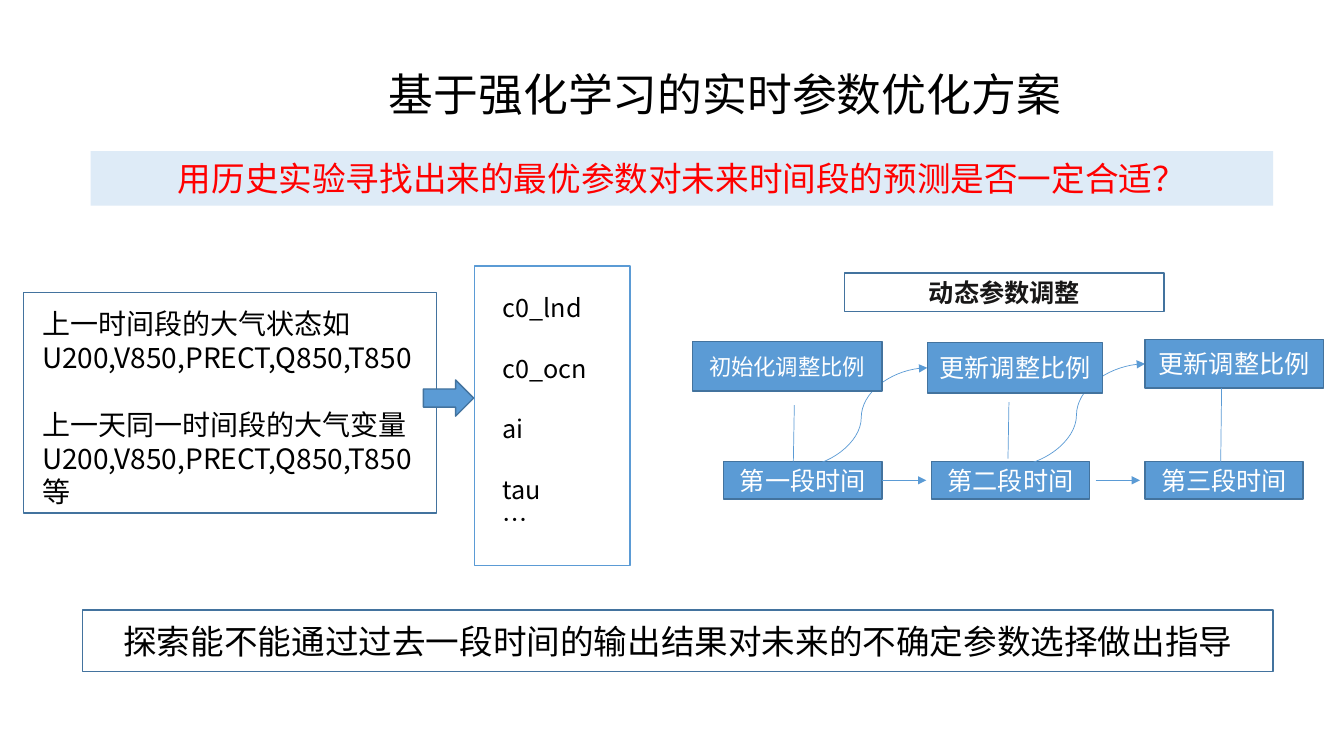
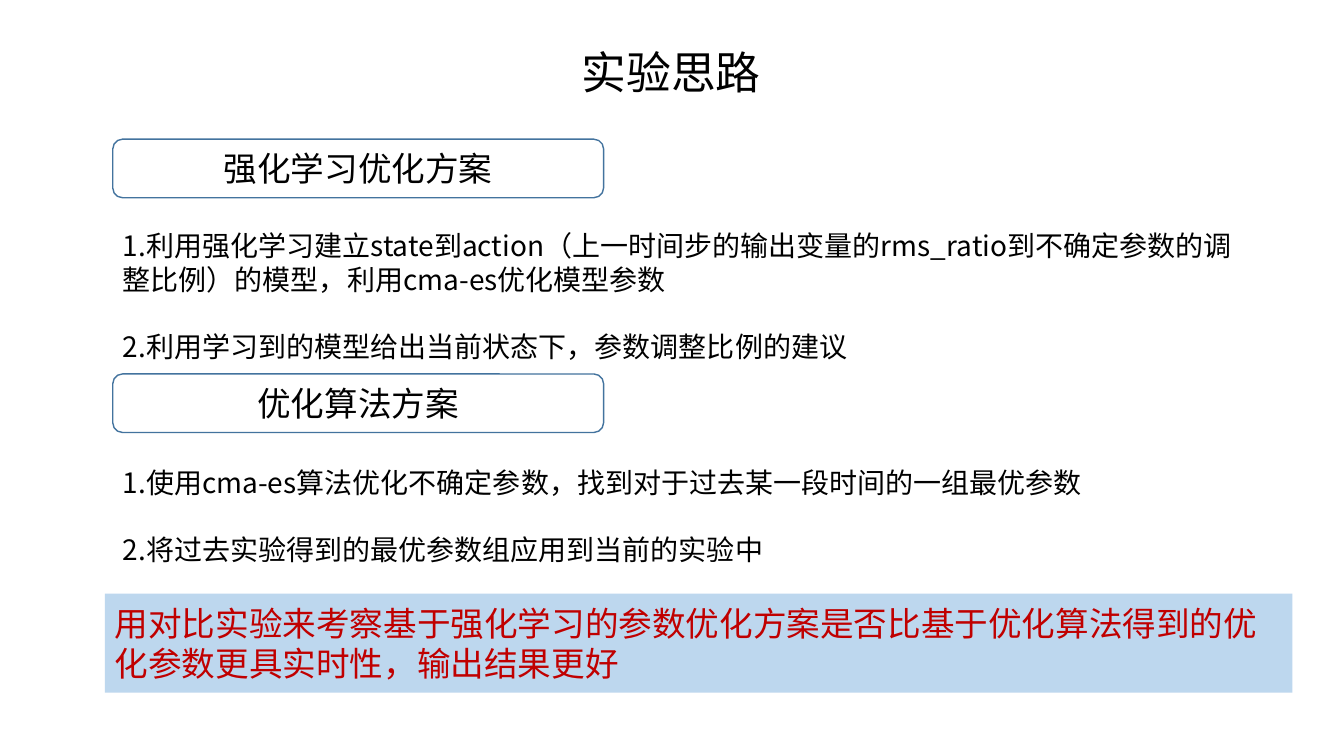
"""Build two slides on tuning parameters in real time with reinforcement learning."""
import pptx
import pptx.util
import pptx.dml.color
import pptx.enum.shapes
import pptx.enum.text
import pptx.oxml
import pptx.oxml.ns
from dataclasses import dataclass

Pt = pptx.util.Pt
Kind = pptx.enum.shapes.MSO_SHAPE
Link = pptx.enum.shapes.MSO_CONNECTOR
Align = pptx.enum.text.PP_ALIGN
Mid = pptx.enum.text.MSO_ANCHOR.MIDDLE
Top = pptx.enum.text.MSO_ANCHOR.TOP


@dataclass(frozen=True)
class Theme:
    font: str = "Noto Sans CJK JP"
    ink: str = "000000"
    dark: str = "181717"
    white: str = "FFFFFF"
    blue: str = "5B9BD5"
    edge: str = "43739E"
    pale: str = "DEEBF7"
    sky: str = "BDD7EE"
    red: str = "FF0000"
    wine: str = "C00000"
    title: int = 32
    lead: int = 24
    body: int = 20
    label: int = 18
    small: int = 16
    rule: float = 1
    thin: float = 0.5
    pitch: float = 1.2


class Deck:
    def __init__(self, theme):
        self.theme = theme
        self.file = pptx.Presentation()
        self.file.slide_width = Pt(960)
        self.file.slide_height = Pt(540)
        self.slide = None

    def rgb(self, color):
        return pptx.dml.color.RGBColor.from_string(color)

    def page(self, title, left, top, width):
        self.slide = self.file.slides.add_slide(self.file.slide_layouts[6])
        frame = self.text(left, top, width, 46, Mid)
        self.put(frame.paragraphs[0], title, self.theme.title, self.theme.ink)
        frame.paragraphs[0].alignment = Align.CENTER

    def put(self, para, words, size, color, bold=False):
        run = para.add_run()
        run.text = words
        font = run.font
        font.size = Pt(size)
        font.name = self.theme.font
        font.bold = bold
        font.color.rgb = self.rgb(color)
        east = pptx.oxml.parse_xml(
            f'<a:ea {pptx.oxml.ns.nsdecls("a")} typeface="{self.theme.font}"/>')
        run._r.rPr.find(pptx.oxml.ns.qn("a:latin")).addnext(east)

    def text(self, left, top, width, height, anchor=Top):
        frame = self.slide.shapes.add_textbox(
            Pt(left), Pt(top), Pt(width), Pt(height)).text_frame
        frame.word_wrap = True
        frame.vertical_anchor = anchor
        return frame

    def lines(self, left, top, width, height, size, items):
        frame = self.text(left, top, width, height)
        step = size * self.theme.pitch
        for index, (words, gap) in enumerate(items):
            para = frame.add_paragraph() if index else frame.paragraphs[0]
            para.line_spacing = Pt(step)
            if gap:
                para.space_before = Pt(step)
            self.put(para, words, size, self.theme.ink)

    def box(self, left, top, width, height, words="", size=Theme.label,
            color=Theme.ink, fill=None, edge=Theme.edge, kind=Kind.RECTANGLE,
            bold=False, align=Align.CENTER):
        shape = self.slide.shapes.add_shape(
            kind, Pt(left), Pt(top), Pt(width), Pt(height))
        shape.shadow.inherit = False
        if fill:
            shape.fill.solid()
            shape.fill.fore_color.rgb = self.rgb(fill)
        else:
            shape.fill.background()
        if edge:
            shape.line.color.rgb = self.rgb(edge)
            shape.line.width = Pt(self.theme.rule)
        else:
            shape.line.fill.background()
        if words:
            frame = shape.text_frame
            frame.word_wrap = True
            frame.vertical_anchor = Mid
            frame.paragraphs[0].alignment = align
            self.put(frame.paragraphs[0], words, size, color, bold)
        return shape

    def link(self, start, end, kind=Link.STRAIGHT, arrow=True):
        line = self.slide.shapes.add_connector(
            kind, Pt(start[0]), Pt(start[1]), Pt(end[0]), Pt(end[1]))
        line.line.color.rgb = self.rgb(self.theme.blue)
        line.line.width = Pt(self.theme.thin)
        names = pptx.oxml.ns.nsdecls("a")
        props = line._element.spPr
        if arrow:
            props.find(pptx.oxml.ns.qn("a:ln")).append(
                pptx.oxml.parse_xml(f'<a:tailEnd {names} type="triangle"/>'))
        props.append(pptx.oxml.parse_xml(f"<a:effectLst {names}/>"))
        return line


def plan(deck):
    look = deck.theme
    deck.page("基于强化学习的实时参数优化方案", 258.5, 44, 519)
    steps = [deck.box(left, 329.8, 113, 26.6, words, look.label, look.white, look.blue)
             for left, words in ((517, "第一段时间"), (665.3, "第二段时间"),
                                 (817.9, "第三段时间"))]
    deck.link((630, 343.1), (661.7, 343.1)).begin_connect(steps[0], 3)
    deck.link((782.6, 343.1), (814.3, 343.1))
    for start, end in (((568, 334), (662.4, 262.8)), ((720, 333.4), (817.9, 259.9))):
        deck.link(start, end, Link.CURVE)
    for left, top, width, height, words, size in (
            (662.4, 244.8, 125.3, 36, "更新调整比例", look.label),
            (494.6, 244.1, 135.4, 35.3, "初始化调整比例", look.small),
            (817.9, 242.6, 127.4, 34.6, "更新调整比例", look.label)):
        deck.box(left, top, width, height, words, size, look.white, look.blue)
    for left, top, foot in ((567.4, 289.4, 329.8), (720.7, 287.3, 327.6),
                            (872.6, 277.2, 334.8)):
        deck.link((left, top), (left - 0.7, foot), arrow=False)

    deck.box(64.8, 108, 844.6, 38.9, "用历史实验寻找出来的最优参数对未来时间段的预测是否一定合适？",
             look.lead, look.red, look.pale, None)
    deck.lines(23, 215.5, 319.7, 152.6, look.body, (
        ("上一时间段的大气状态如U200,V850,PRECT,Q850,T850", False),
        ("上一天同一时间段的大气变量U200,V850,PRECT,Q850,T850", True),
        ("等", False)))
    deck.lines(352, 205.5, 106.6, 181.4, look.label, (
        ("c0_lnd", False), ("c0_ocn", True), ("ai", True), ("tau", True),
        ("…", False)))
    deck.box(59, 435.6, 850.3, 43.9, "探索能不能通过过去一段时间的输出结果对未来的不确定参数选择做出指导",
             look.lead)
    deck.box(16.6, 208.8, 295.2, 157.7)
    deck.box(339.1, 190.1, 110.9, 213.8, edge=look.blue)
    deck.box(302.4, 271.4, 36, 25.9, fill=look.blue, kind=Kind.RIGHT_ARROW)
    deck.box(603.4, 195.1, 228.2, 27.4, "动态参数调整", look.label, look.dark, bold=True)


def test(deck):
    look = deck.theme
    deck.page("实验思路", 180, 28, 599)
    for top, head, gap, width, height, items in (
            (99.4, "强化学习优化方案", 60.3, 815.8, 104.4, (
                ("1.利用强化学习建立state到action（上一时间步的输出变量的rms_ratio到不确定参数的调整比例）的模型，利用cma-es优化模型参数", False),
                ("2.利用学习到的模型给出当前状态下，参数调整比例的建议", True))),
            (267.1, "优化算法方案", 61.8, 820.8, 79.9, (
                ("1.使用cma-es算法优化不确定参数，找到对于过去某一段时间的一组最优参数", False),
                ("2.将过去实验得到的最优参数组应用到当前的实验中", True)))):
        deck.lines(80.6, top + gap, width, height, look.body, items)
        deck.box(80.6, top, 350.6, 41.8, head, look.lead, kind=Kind.ROUNDED_RECTANGLE)
    deck.box(74.9, 424.1, 848.2, 70.6,
             "用对比实验来考察基于强化学习的参数优化方案是否比基于优化算法得到的优化参数更具实时性，输出结果更好",
             look.lead, look.wine, look.sky, None, align=Align.LEFT)


def main():
    deck = Deck(Theme())
    plan(deck)
    test(deck)
    deck.file.save("out.pptx")


if __name__ == "__main__":
    main()
